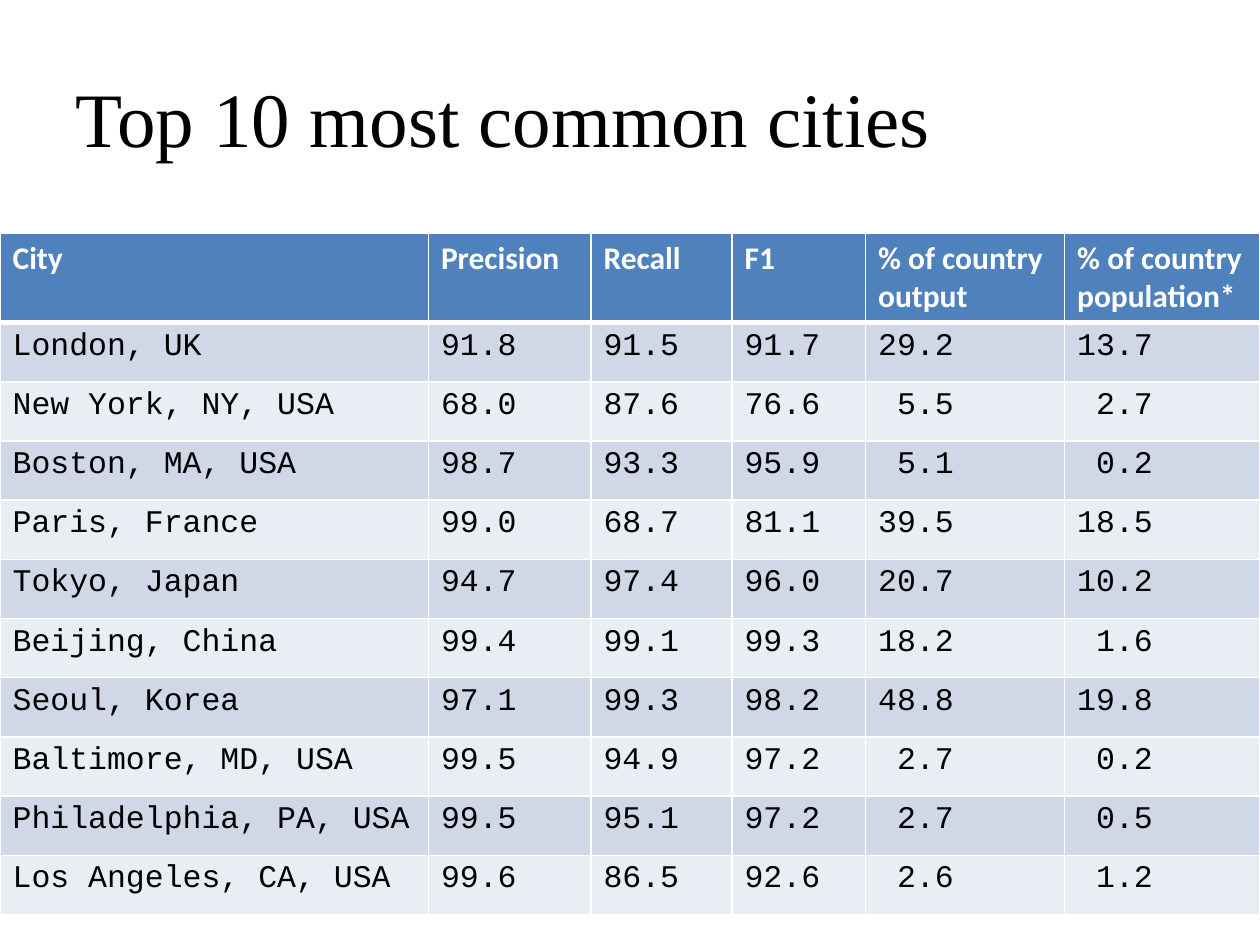
"""Build a slide with a table of results for the ten most common cities."""
from lxml import etree
from pptx import Presentation
from pptx import util as u
from pptx.dml.color import RGBColor
from pptx.enum import text
from pptx.oxml import ns

TITLE = "Top 10 most common cities"
HEADER = ["City", "Precision", "Recall", "F1", "% of country output", "% of country population*"]
CITIES = [
    ("London, UK", 91.8, 91.5, 91.7, 29.2, 13.7),
    ("New York, NY, USA", 68.0, 87.6, 76.6, 5.5, 2.7),
    ("Boston, MA, USA", 98.7, 93.3, 95.9, 5.1, 0.2),
    ("Paris, France", 99.0, 68.7, 81.1, 39.5, 18.5),
    ("Tokyo, Japan", 94.7, 97.4, 96.0, 20.7, 10.2),
    ("Beijing, China", 99.4, 99.1, 99.3, 18.2, 1.6),
    ("Seoul, Korea", 97.1, 99.3, 98.2, 48.8, 19.8),
    ("Baltimore, MD, USA", 99.5, 94.9, 97.2, 2.7, 0.2),
    ("Philadelphia, PA, USA", 99.5, 95.1, 97.2, 2.7, 0.5),
    ("Los Angeles, CA, USA", 99.6, 86.5, 92.6, 2.6, 1.2),
]
WIDTHS = [3.4, 1.29, 1.12, 1.06, 1.58, 1.55]
HEADER_HEIGHT, ROW_HEIGHT = 0.7, 0.47
HEADER_FILL, BAND_FILLS = "4F81BD", ("D0D8E8", "E9EDF4")
WHITE, BLACK = "FFFFFF", "000000"


def color(value):
    return RGBColor.from_string(value)


def add_text(frame, words, font, size, ink, bold=False):
    span = frame.paragraphs[0].add_run()
    span.text = words
    span.font.name, span.font.size, span.font.bold = font, u.Pt(size), bold
    span.font.color.rgb = color(ink)


def add_borders(cell, points):
    properties = cell._tc.get_or_add_tcPr()
    for side in "LRTB":
        line = etree.SubElement(properties, ns.qn(f"a:ln{side}"), w=str(u.Pt(points[side])))
        fill = etree.SubElement(line, ns.qn("a:solidFill"))
        etree.SubElement(fill, ns.qn("a:srgbClr"), val=WHITE)


def add_title(page):
    title = page.shapes.title
    title.left, title.top = u.Inches(0.5), u.Inches(0.3)
    title.width, title.height = u.Inches(9), u.Inches(1.25)
    title.text_frame.vertical_anchor = text.MSO_ANCHOR.MIDDLE
    title.text_frame.paragraphs[0].alignment = text.PP_ALIGN.LEFT
    add_text(title.text_frame, TITLE, "Times New Roman", 44, BLACK)


def add_city_table(page):
    rows = [HEADER] + [(city, *(f"{value:4.1f}" for value in values)) for city, *values in CITIES]
    heights = [HEADER_HEIGHT] + [ROW_HEIGHT] * len(CITIES)
    table = page.shapes.add_table(
        len(rows), len(WIDTHS), u.Inches(0), u.Inches(1.85),
        u.Inches(sum(WIDTHS)), u.Inches(sum(heights))).table
    for column, width in zip(table.columns, WIDTHS):
        column.width = u.Inches(width)
    for index, (row, words, height) in enumerate(zip(table.rows, rows, heights)):
        row.height = u.Inches(height)
        heading = index == 0
        points = {"L": 1, "R": 1, "T": 3 if index == 1 else 1, "B": 3 if heading else 1}
        for cell, entry in zip(row.cells, words):
            add_borders(cell, points)
            cell.fill.solid()
            cell.fill.fore_color.rgb = color(HEADER_FILL if heading else BAND_FILLS[(index - 1) % 2])
            add_text(cell.text_frame, entry, "Calibri" if heading else "Courier New", 18,
                     WHITE if heading else BLACK, heading)


def main():
    deck = Presentation()
    deck.slide_width, deck.slide_height = u.Inches(10), u.Inches(7.5)
    page = deck.slides.add_slide(deck.slide_layouts[5])
    add_title(page)
    add_city_table(page)
    deck.save("out.pptx")


if __name__ == "__main__":
    main()
